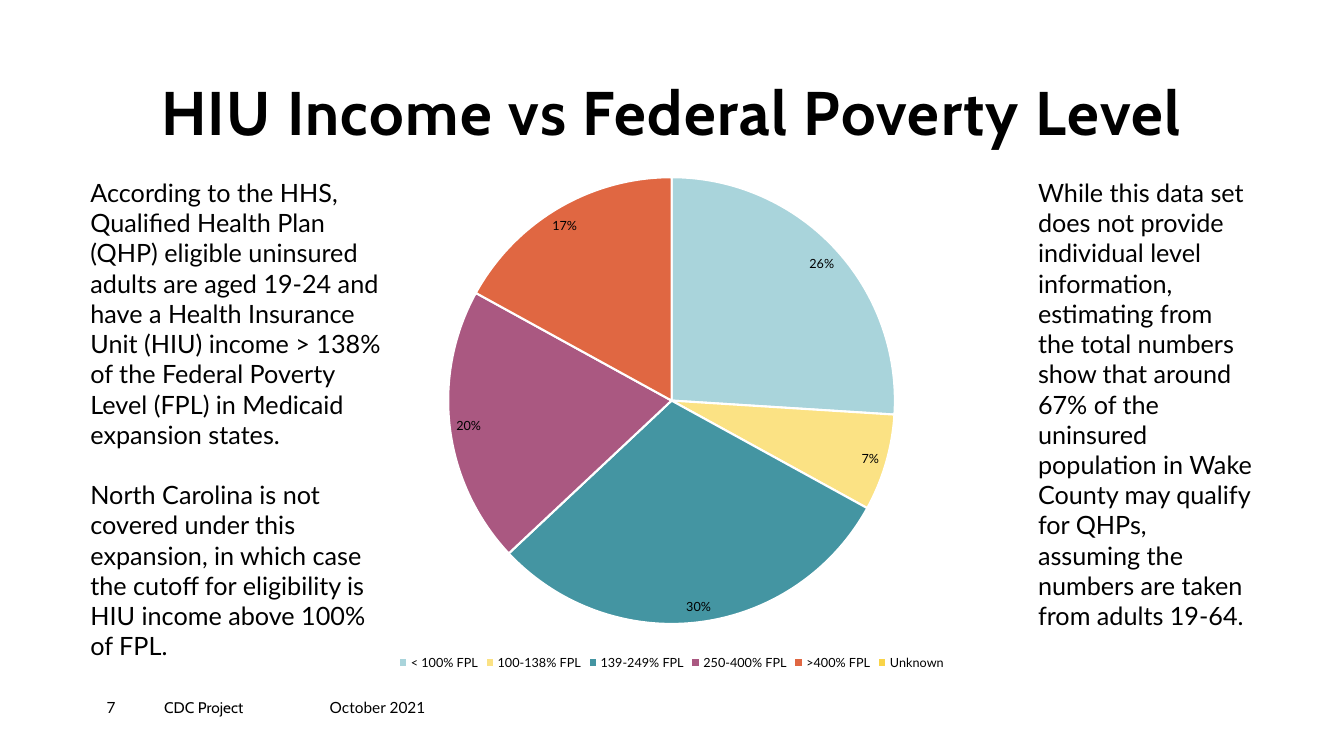
import dataclasses

import pptx
import pptx.chart.data
import pptx.dml.color
import pptx.enum.chart
import pptx.enum.text
import pptx.oxml
import pptx.oxml.ns
import pptx.util

Cm, Pt = pptx.util.Cm, pptx.util.Pt
BLACK, WHITE = "000000", "FFFFFF"
CONTENT_TOP = 4.34
FOOTER_TOP, FOOTER_HEIGHT = 17.58, 0.69


@dataclasses.dataclass
class Note:
    """A text box, with lengths in centimetres and size in points."""
    left: float
    top: float
    width: float
    height: float
    paragraphs: list[str]
    size: int = 18
    font: str = "Lato"
    inset: bool = True


@dataclasses.dataclass
class Band:
    """One income band of the pie."""
    label: str
    percent: int
    color: str


NOTES = [
    Note(2.03, CONTENT_TOP, 8.1, 12.57, [
        "According to the HHS, Qualified Health Plan (QHP) eligible uninsured adults "
        "are aged 19-24 and have a Health Insurance Unit (HIU) income > 138% of the "
        "Federal Poverty Level (FPL) in Medicaid expansion states.",
        "North Carolina is not covered under this expansion, in which case the cutoff "
        "for eligibility is HIU income above 100% of FPL."]),
    Note(25.91, CONTENT_TOP, 5.92, 11.02, [
        "While this data set does not provide individual level information, estimating "
        "from the total numbers show that around 67% of the uninsured population in "
        "Wake County may qualify for QHPs, assuming the numbers are taken from adults "
        "19-64."]),
    Note(2.69, FOOTER_TOP, 1.45, FOOTER_HEIGHT, ["7"], 11, inset=False),
    Note(4.14, FOOTER_TOP, 4.17, FOOTER_HEIGHT, ["CDC Project"], 11, "Cabin", False),
    Note(8.31, FOOTER_TOP, 3.66, FOOTER_HEIGHT, ["October 2021"], 11, inset=False),
]

BANDS = [
    Band("< 100% FPL", 26, "A9D4DB"),
    Band("100-138% FPL", 7, "FBE284"),
    Band("139-249% FPL", 30, "4495A2"),
    Band("250-400% FPL", 20, "AA5881"),
    Band(">400% FPL", 17, "E06742"),
    Band("Unknown", 0, "F9D448"),
]


def rgb(value: str) -> pptx.dml.color.RGBColor:
    """Turn a hex string into a colour."""
    return pptx.dml.color.RGBColor.from_string(value)


def style_font(font, size: int, name: str = "Lato", bold: bool = False) -> None:
    """Set a black font of the given size and face."""
    font.size, font.name, font.bold = Pt(size), name, bold
    font.color.rgb = rgb(BLACK)


def clear_insets(tf) -> None:
    """Remove the inner margins of a text frame."""
    tf.margin_left = tf.margin_right = tf.margin_top = tf.margin_bottom = 0


def add_title(s, text: str) -> None:
    """Fill and place the title placeholder."""
    sp = s.shapes.title
    sp.left, sp.top, sp.width, sp.height = Cm(3.23), Cm(2.06), Cm(27.41), Cm(1.7)
    tf = sp.text_frame
    tf.auto_size = pptx.enum.text.MSO_AUTO_SIZE.NONE
    tf.vertical_anchor = pptx.enum.text.MSO_ANCHOR.BOTTOM
    clear_insets(tf)
    p = tf.paragraphs[0]
    p.alignment = pptx.enum.text.PP_ALIGN.CENTER
    p.line_spacing = 0.9
    r = p.add_run()
    r.text = text
    style_font(r.font, 44, "Cabin", True)
    r.font._element.set("spc", "100")


def add_note(s, note: Note) -> None:
    """Add a wrapped text box, its paragraphs one line apart."""
    sp = s.shapes.add_textbox(Cm(note.left), Cm(note.top), Cm(note.width), Cm(note.height))
    tf = sp.text_frame
    tf.word_wrap = True
    if not note.inset:
        clear_insets(tf)
    for i, text in enumerate(note.paragraphs):
        p = tf.paragraphs[0] if i == 0 else tf.add_paragraph()
        if i > 0:
            p.space_before = Pt(1.2 * note.size)
        r = p.add_run()
        r.text = text
        style_font(r.font, note.size, note.font)


def set_plot_area(chart, x: float, y: float, w: float, h: float) -> None:
    """Fix the inner plot area, as fractions of the chart."""
    plot_area = chart._chartSpace.chart.plotArea
    for old in plot_area.findall(pptx.oxml.ns.qn("c:layout")):
        plot_area.remove(old)
    sizes = "".join(f'<c:{k} val="{v}"/>' for k, v in zip("xywh", (x, y, w, h)))
    plot_area.insert(0, pptx.oxml.parse_xml(
        f'<c:layout {pptx.oxml.ns.nsdecls("c")}><c:manualLayout>'
        '<c:layoutTarget val="inner"/><c:xMode val="edge"/><c:yMode val="edge"/>'
        f'{sizes}</c:manualLayout></c:layout>'))


def explode(point, percent: int) -> None:
    """Pull one slice out of the pie."""
    dpt = point.format._element if hasattr(point.format, "_element") else None
    if dpt is None:
        dpt = point._ser.get_or_add_dPt_for_point(point._idx)
    tag = pptx.oxml.parse_xml(
        f'<c:explosion {pptx.oxml.ns.nsdecls("c")} val="{percent}"/>')
    dpt.find(pptx.oxml.ns.qn("c:spPr")).addprevious(tag)


def add_pie(s, bands: list[Band]) -> None:
    """Add the pie of income bands with its labels and legend."""
    data = pptx.chart.data.CategoryChartData()
    data.categories = [b.label for b in bands]
    data.add_series("Series 1", [b.percent for b in bands])
    chart = s.shapes.add_chart(
        pptx.enum.chart.XL_CHART_TYPE.PIE,
        Cm(4.01), Cm(CONTENT_TOP), Cm(25.83), Cm(12.65), data).chart
    chart.has_title = False
    style_font(chart.font, 10)
    chart.has_legend = True
    chart.legend.position = pptx.enum.chart.XL_LEGEND_POSITION.BOTTOM
    chart.legend.include_in_layout = False
    style_font(chart.legend.font, 9)
    set_plot_area(chart, 0.28, 0.01, 0.44, 0.89)

    plot = chart.plots[0]
    plot.vary_by_categories = True
    plot.has_data_labels = True
    labels = plot.data_labels
    labels.show_percentage, labels.show_value = True, False
    labels.number_format, labels.number_format_is_linked = "0%", False
    labels.position = pptx.enum.chart.XL_LABEL_POSITION.BEST_FIT
    style_font(labels.font, 9)

    points = plot.series[0].points
    for i, band in enumerate(bands):
        fmt = points[i].format
        fmt.fill.solid()
        fmt.fill.fore_color.rgb = rgb(band.color)
        fmt.line.color.rgb = rgb(WHITE)
        fmt.line.width = Pt(1.5)
    explode(points[len(bands) - 1], 12)


prs = pptx.Presentation()
prs.slide_width, prs.slide_height = Cm(33.87), Cm(19.05)
s = prs.slides.add_slide(prs.slide_layouts[5])
add_title(s, "HIU Income vs Federal Poverty Level")
add_pie(s, BANDS)
for note in NOTES:
    add_note(s, note)
prs.save("out.pptx")
